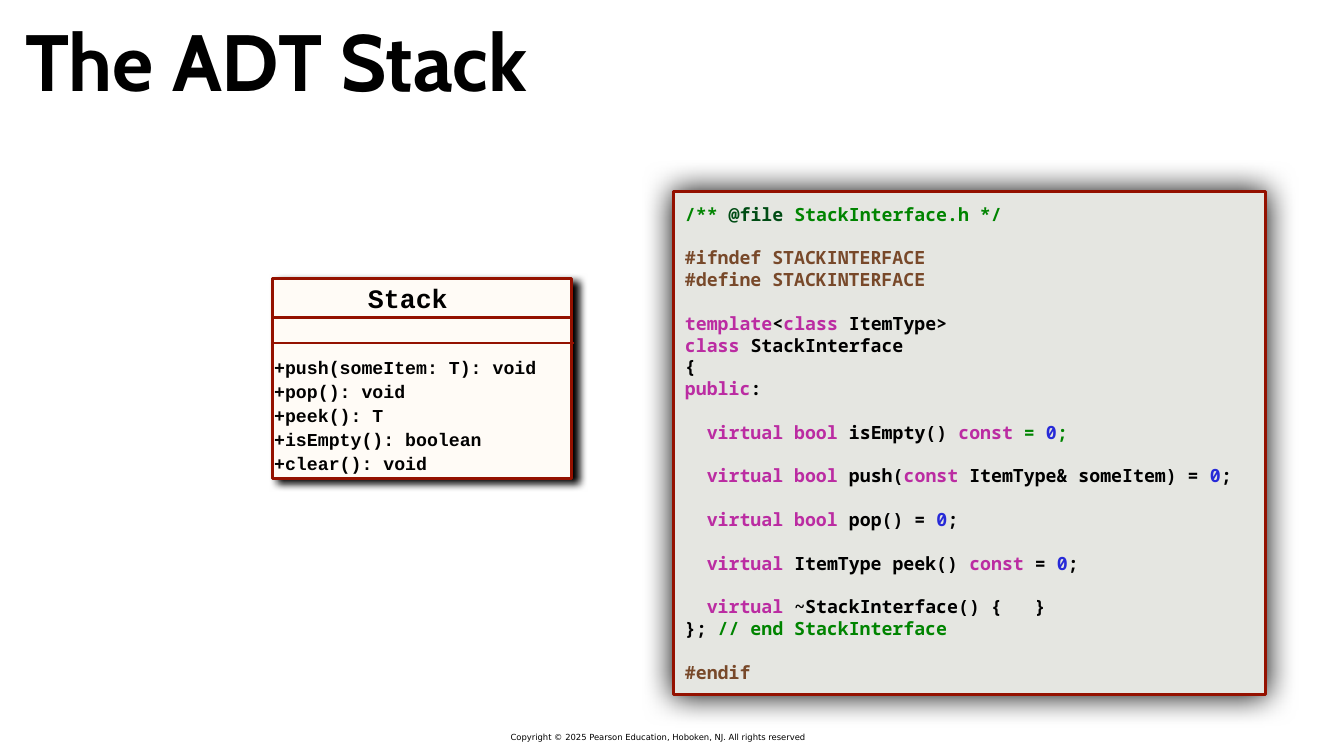
from dataclasses import dataclass

from lxml.etree import SubElement
from pptx import Presentation
from pptx.dml.color import RGBColor
from pptx.enum.shapes import MSO_CONNECTOR as Connector, MSO_SHAPE as Preset
from pptx.enum.text import MSO_ANCHOR as Anchor, MSO_AUTO_SIZE as AutoSize, PP_ALIGN as Align
from pptx.oxml.ns import qn
from pptx.util import Pt


@dataclass(frozen=True)
class Theme:
    ink: str = "000000"
    border: str = "941100"
    code_fill: str = "E5E6E1"
    class_fill: str = "FFFBF6"
    comment: str = "008400"
    tag: str = "004C14"
    directive: str = "78492A"
    keyword: str = "BB2CA2"
    number: str = "272AD8"
    title_font: str = "Cabin"
    code_font: str = "Noto Sans Mono"
    class_font: str = "Courier New"
    footer_font: str = "DejaVu Sans"
    title_size: int = 114
    name_size: int = 38
    code_size: int = 26
    footer_size: int = 12
    code_pitch: float = 31.16
    class_pitch: float = 34.3
    inset: float = 5.76


THEME = Theme()

CODE_BLOCKS = [
    [[("comment", "/** "), ("tag", "@file"), ("comment", " StackInterface.h */")]],
    [[("directive", "#ifndef STACKINTERFACE")],
     [("directive", "#define STACKINTERFACE")]],
    [[("keyword", "template"), ("ink", "<"), ("keyword", "class"), ("ink", " ItemType>")],
     [("keyword", "class"), ("ink", " StackInterface")],
     [("ink", "{")],
     [("keyword", "public"), ("ink", ":")]],
    [[("keyword", "  virtual bool "), ("ink", "isEmpty() "), ("keyword", "const"),
      ("comment", " = "), ("number", "0"), ("comment", ";")]],
    [[("keyword", "  virtual bool"), ("ink", " push("), ("keyword", "const"),
      ("ink", " ItemType& someItem) = "), ("number", "0"), ("ink", ";")]],
    [[("keyword", "  virtual bool"), ("ink", " pop() = "), ("number", "0"), ("ink", ";")]],
    [[("keyword", "  virtual"), ("ink", " ItemType peek() "), ("keyword", "const"),
      ("ink", " = "), ("number", "0"), ("ink", ";")]],
    [[("keyword", "  virtual"), ("ink", " ~StackInterface() {   }")],
     [("ink", "}; "), ("comment", "// end StackInterface")]],
    [[("directive", "#endif")]],
]

OPERATIONS = [
    "+push(someItem: T): void",
    "+pop(): void",
    "+peek(): T",
    "+isEmpty(): boolean",
    "+clear(): void",
]


def style_font(font, name, size, color=THEME.ink, bold=True):
    font.name = name
    font.size = Pt(size)
    font.bold = bold
    font.color.rgb = RGBColor.from_string(color)


def prepare_frame(frame, horizontal=THEME.inset, vertical=THEME.inset, anchor=Anchor.TOP):
    frame.word_wrap = True
    frame.auto_size = AutoSize.NONE
    frame.margin_left = frame.margin_right = Pt(horizontal)
    frame.margin_top = frame.margin_bottom = Pt(vertical)
    frame.vertical_anchor = anchor


def add_text(shapes, box, lines, font_name, size, pitch=None, bold=True, **frame_options):
    frame = shapes.add_textbox(*map(Pt, box)).text_frame
    prepare_frame(frame, **frame_options)
    frame.text = "\n".join(lines)
    for paragraph in frame.paragraphs:
        if pitch:
            paragraph.line_spacing = Pt(pitch)
        style_font(paragraph.runs[0].font, font_name, size, bold=bold)


def add_shadow(shape, blur, distance, angle):
    effects = shape._element.spPr.get_or_add_effectLst() if hasattr(
        shape._element.spPr, "get_or_add_effectLst") else shape._element.spPr.find(qn("a:effectLst"))
    shadow = SubElement(effects, qn("a:outerShdw"), blurRad=str(Pt(blur)),
                        dist=str(Pt(distance)), dir=str(angle * 60000),
                        algn="ctr", rotWithShape="0")
    color = SubElement(shadow, qn("a:srgbClr"), val=THEME.ink)
    SubElement(color, qn("a:alpha"), val="100000")


def add_panel(shapes, box, fill, blur, distance, angle):
    panel = shapes.add_shape(Preset.RECTANGLE, *map(Pt, box))
    panel.fill.solid()
    panel.fill.fore_color.rgb = RGBColor.from_string(fill)
    panel.line.color.rgb = RGBColor.from_string(THEME.border)
    panel.line.width = Pt(4)
    panel.shadow.inherit = False
    add_shadow(panel, blur, distance, angle)


def add_divider(shapes, left, right, top):
    line = shapes.add_connector(Connector.STRAIGHT, Pt(left), Pt(top), Pt(right), Pt(top))
    line.line.color.rgb = RGBColor.from_string(THEME.border)
    line.line.width = Pt(3)
    SubElement(line._element.spPr, qn("a:effectLst"))


def add_code(shapes, box):
    frame = shapes.add_textbox(*map(Pt, box)).text_frame
    prepare_frame(frame)
    paragraph = None
    for block in CODE_BLOCKS:
        for index, tokens in enumerate(block):
            is_first = paragraph is None
            paragraph = frame.paragraphs[0] if is_first else frame.add_paragraph()
            paragraph.line_spacing = Pt(THEME.code_pitch)
            if index == 0 and not is_first:
                paragraph.space_before = Pt(THEME.code_pitch)
            for role, text in tokens:
                run = paragraph.add_run()
                run.text = text
                style_font(run.font, THEME.code_font, THEME.code_size, getattr(THEME, role))


def add_class_diagram(slide):
    shapes = slide.shapes.add_group_shape().shapes
    add_panel(shapes, (388.8, 398.2, 427.7, 285.1), THEME.class_fill, 12, 10, 33)
    add_text(shapes, (519.8, 396.7, 131.8, 55.4), ["Stack"], THEME.class_font, THEME.name_size)
    add_divider(shapes, 387.4, 815.8, 453.6)
    add_divider(shapes, 387.4, 819.4, 490.3)
    add_text(shapes, (385.9, 500.5, 403.2, 180), OPERATIONS, THEME.class_font,
             THEME.code_size, pitch=THEME.class_pitch)


def set_title(slide, text):
    title = slide.shapes.title
    title.left, title.top, title.width, title.height = map(Pt, (30.2, 1.4, 1864.8, 167.8))
    frame = title.text_frame
    prepare_frame(frame, anchor=Anchor.MIDDLE)
    frame.text = text
    paragraph = frame.paragraphs[0]
    paragraph.alignment = Align.LEFT
    style_font(paragraph.runs[0].font, THEME.title_font, THEME.title_size)


def main():
    presentation = Presentation()
    presentation.slide_width, presentation.slide_height = Pt(1920), Pt(1080)
    slide = presentation.slides.add_slide(presentation.slide_layouts[5])
    add_text(slide.shapes, (729.4, 1044.7, 487.4, 17.3),
             ["Copyright © 2025 Pearson Education, Hoboken, NJ. All rights reserved"],
             THEME.footer_font, THEME.footer_size, bold=False,
             horizontal=0, vertical=1.4, anchor=Anchor.MIDDLE)
    add_panel(slide.shapes, (961.9, 273.6, 846, 718.6), THEME.code_fill, 45, 0, 33)
    add_code(slide.shapes, (972.7, 284.3, 826.6, 702))
    set_title(slide, "The ADT Stack")
    add_class_diagram(slide)
    presentation.save("out.pptx")


if __name__ == "__main__":
    main()
